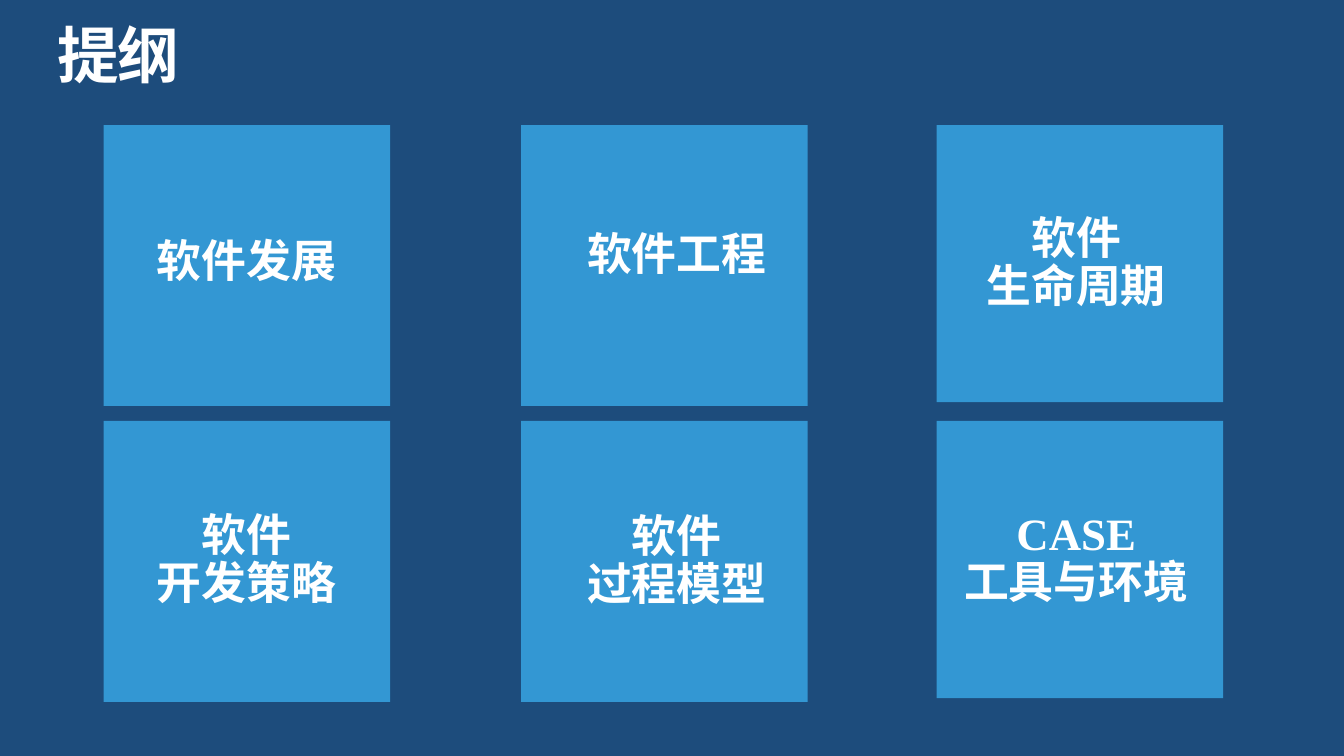
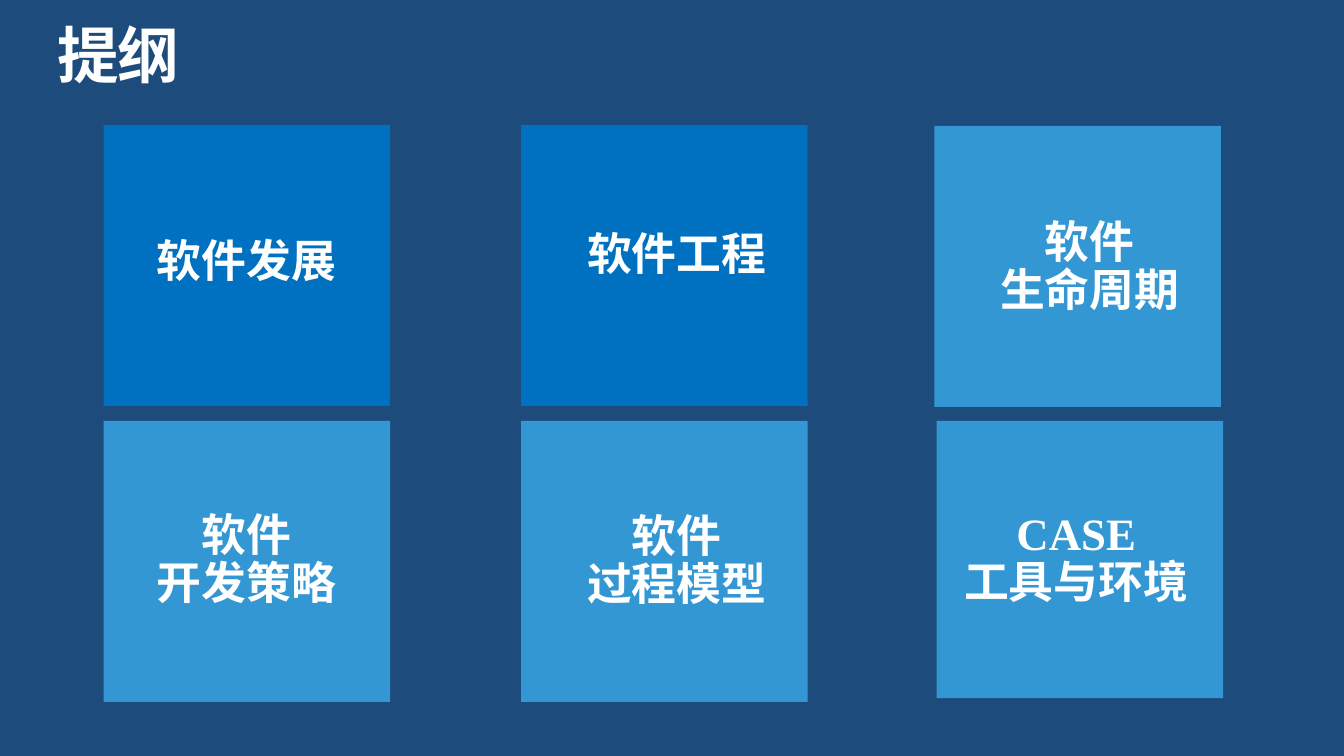
import dataclasses

import pptx
import pptx.dml.color
import pptx.enum.shapes
import pptx.enum.text
import pptx.oxml.ns
import pptx.util
from lxml import etree

Pt = pptx.util.Pt
RGBColor = pptx.dml.color.RGBColor

# Shared look
NAVY = RGBColor(0x1D, 0x4C, 0x7C)
SKY = RGBColor(0x33, 0x97, 0xD3)
BLUE = RGBColor(0x00, 0x70, 0xC0)
WHITE = RGBColor(0xFF, 0xFF, 0xFF)
CJK_FONT = "Noto Sans CJK SC"
LATIN_FONT = "Times New Roman"

# Tile geometry, in points
TILE_WIDTH, TILE_HEIGHT, SHORT_TILE_HEIGHT = 153.5, 150.5, 148.5
COLUMNS = (55.5, 279.25, 501.75)
ROWS = (67, 225.5)
LABEL_WIDTH = 129
LABEL_HEIGHTS = {1: 26, 2: 58.5}


@dataclasses.dataclass(frozen=True)
class Topic:
    label: str
    left: float
    top: float
    label_indent: float
    label_middle: float
    height: float = TILE_HEIGHT


DEVELOPMENT = Topic("软件发展", COLUMNS[0], ROWS[0], 12, 141)
ENGINEERING = Topic("软件工程", COLUMNS[1], ROWS[0], 18.75, 137)
LIFE_CYCLE = Topic("软件\n生命周期", COLUMNS[2], ROWS[0], 10.25, 141.5,
                   SHORT_TILE_HEIGHT)
STRATEGY = Topic("软件\n开发策略", COLUMNS[0], ROWS[1], 12, 300.5)
PROCESS_MODEL = Topic("软件\n过程模型", COLUMNS[1], ROWS[1], 18.75, 301)
CASE_TOOLS = Topic("CASE\n工具与环境", COLUMNS[2], ROWS[1], 10.25, 300,
                   SHORT_TILE_HEIGHT)
NEXT_LIFE_CYCLE = dataclasses.replace(
    LIFE_CYCLE, left=500.5, top=67.5, label_indent=18.75, label_middle=143.5,
    height=TILE_HEIGHT)


def add_text(shapes, text, left, top, width, height, size, align, spacing=0):
    """Add bold white text, centred vertically in a box without margins."""
    box = shapes.add_textbox(Pt(left), Pt(top), Pt(width), Pt(height))
    frame = box.text_frame
    frame.text = text
    frame.word_wrap = True
    frame.auto_size = pptx.enum.text.MSO_AUTO_SIZE.SHAPE_TO_FIT_TEXT
    frame.vertical_anchor = pptx.enum.text.MSO_ANCHOR.MIDDLE
    frame.margin_left = frame.margin_right = 0
    frame.margin_top = frame.margin_bottom = 0
    for paragraph in frame.paragraphs:
        paragraph.alignment = align
        paragraph.line_spacing = 0.9
        for run in paragraph.runs:
            style_run(run, size, spacing)


def style_run(run, size, spacing):
    typeface = LATIN_FONT if run.text.isascii() else CJK_FONT
    run.font.size = Pt(size)
    run.font.bold = True
    run.font.color.rgb = WHITE
    run.font.name = typeface
    properties = run.font._element
    east_asian = etree.SubElement(properties, pptx.oxml.ns.qn("a:ea"))
    east_asian.set("typeface", typeface)
    if spacing:
        properties.set("spc", str(round(spacing * 100)))


def add_tile(slide, topic, color):
    """Group a coloured square with its label."""
    group = slide.shapes.add_group_shape()
    square = group.shapes.add_shape(
        pptx.enum.shapes.MSO_SHAPE.RECTANGLE, Pt(topic.left), Pt(topic.top),
        Pt(TILE_WIDTH), Pt(topic.height))
    square.shadow.inherit = False
    square.fill.solid()
    square.fill.fore_color.rgb = color
    square.line.fill.background()

    label_height = LABEL_HEIGHTS[len(topic.label.split("\n"))]
    add_text(group.shapes, topic.label, topic.left + topic.label_indent,
             topic.label_middle - label_height / 2, LABEL_WIDTH, label_height,
             24, pptx.enum.text.PP_ALIGN.CENTER)


def add_outline_slide(deck, topics, highlighted=()):
    slide = deck.slides.add_slide(deck.slide_layouts[6])
    slide.background.fill.solid()
    slide.background.fill.fore_color.rgb = NAVY
    add_text(slide.shapes, "提纲", 31, 13.5, 659, 36, 33,
             pptx.enum.text.PP_ALIGN.LEFT, spacing=-0.8)
    for topic in topics:
        add_tile(slide, topic, BLUE if topic in highlighted else SKY)


def main():
    deck = pptx.Presentation()
    deck.slide_width, deck.slide_height = Pt(720), Pt(405)

    # Full outline
    add_outline_slide(deck, (DEVELOPMENT, ENGINEERING, LIFE_CYCLE,
                             STRATEGY, PROCESS_MODEL, CASE_TOOLS))

    # Outline with the first two topics highlighted
    add_outline_slide(deck, (DEVELOPMENT, ENGINEERING, STRATEGY,
                             PROCESS_MODEL, CASE_TOOLS, NEXT_LIFE_CYCLE),
                      highlighted=(DEVELOPMENT, ENGINEERING))

    deck.save("out.pptx")


if __name__ == "__main__":
    main()
